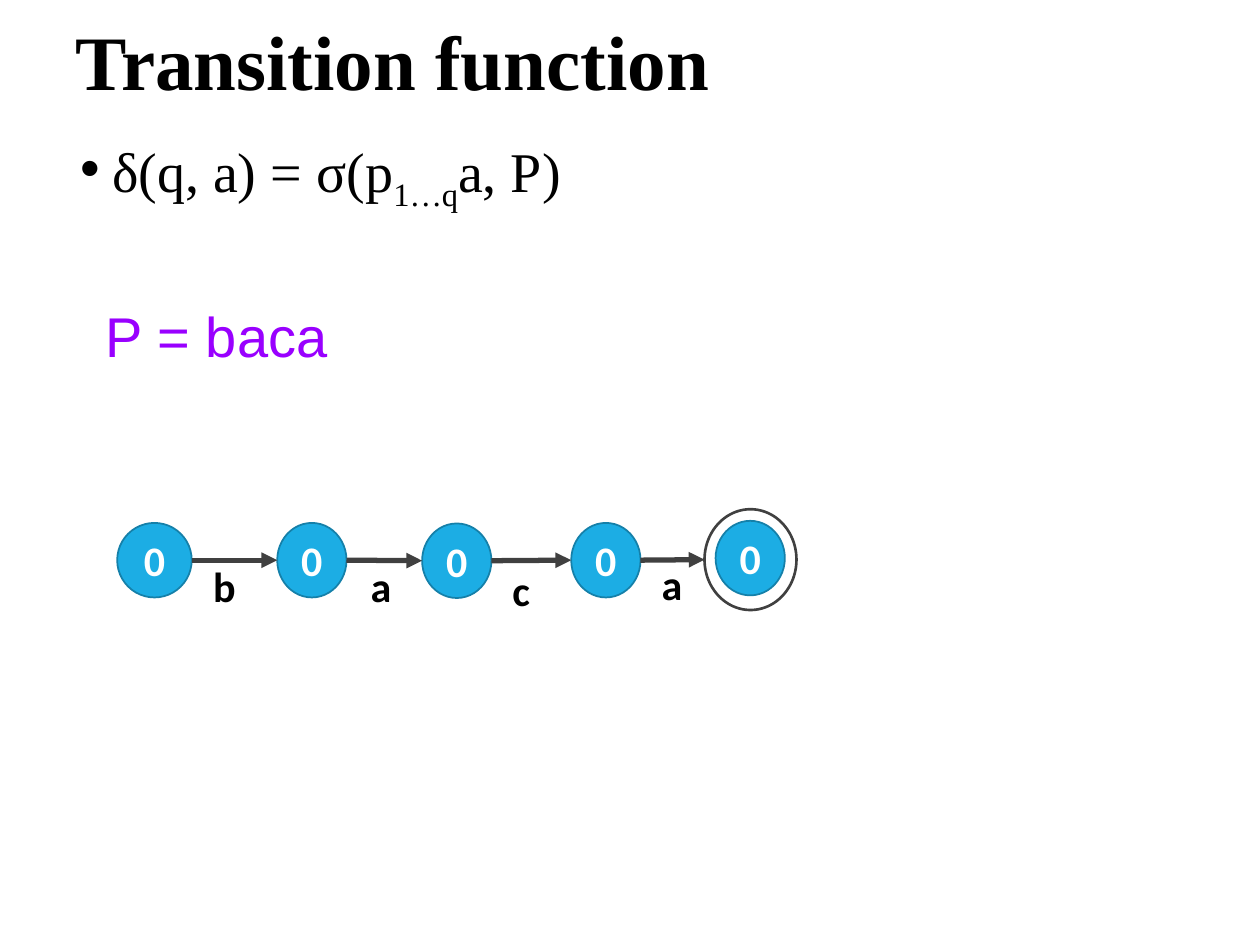
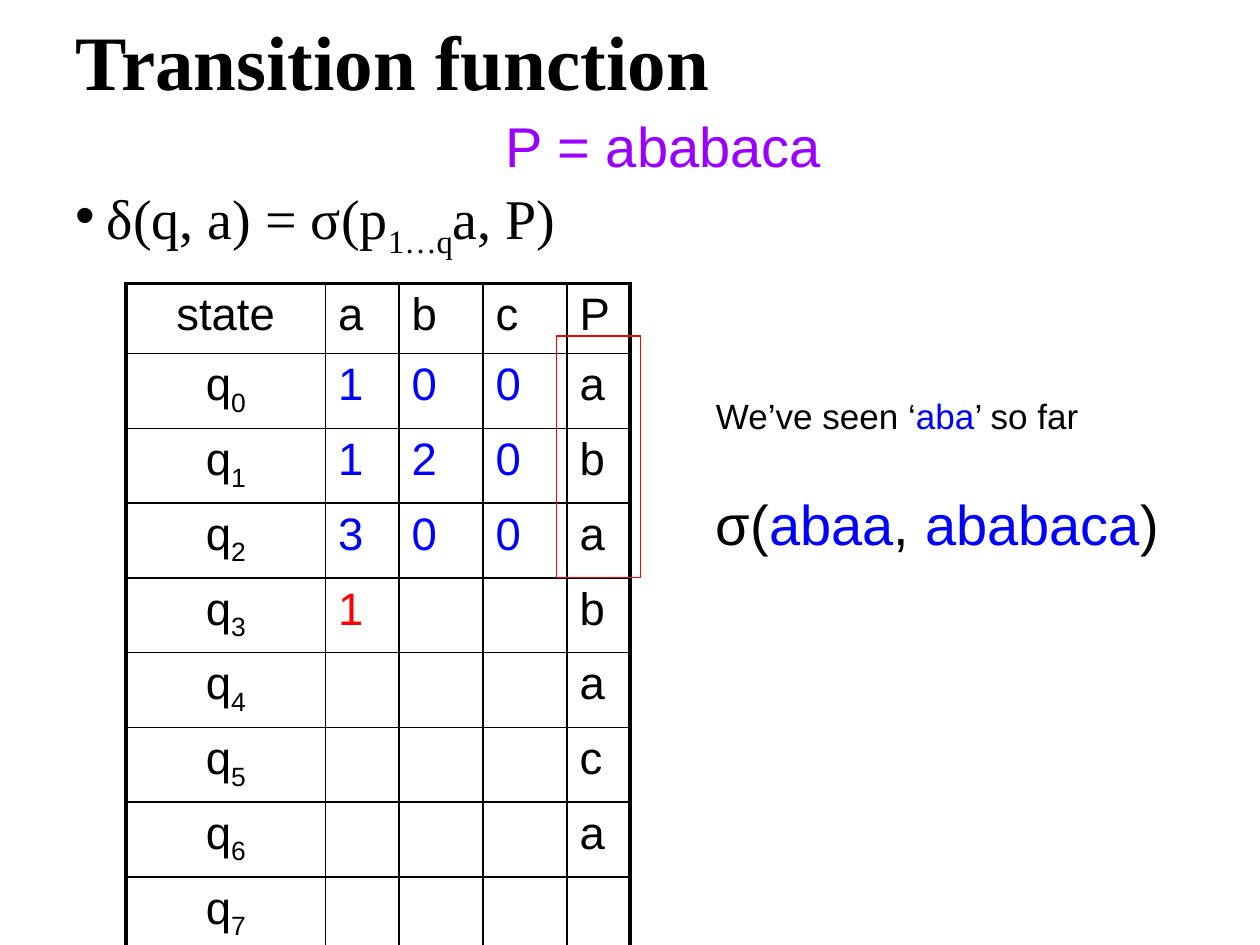
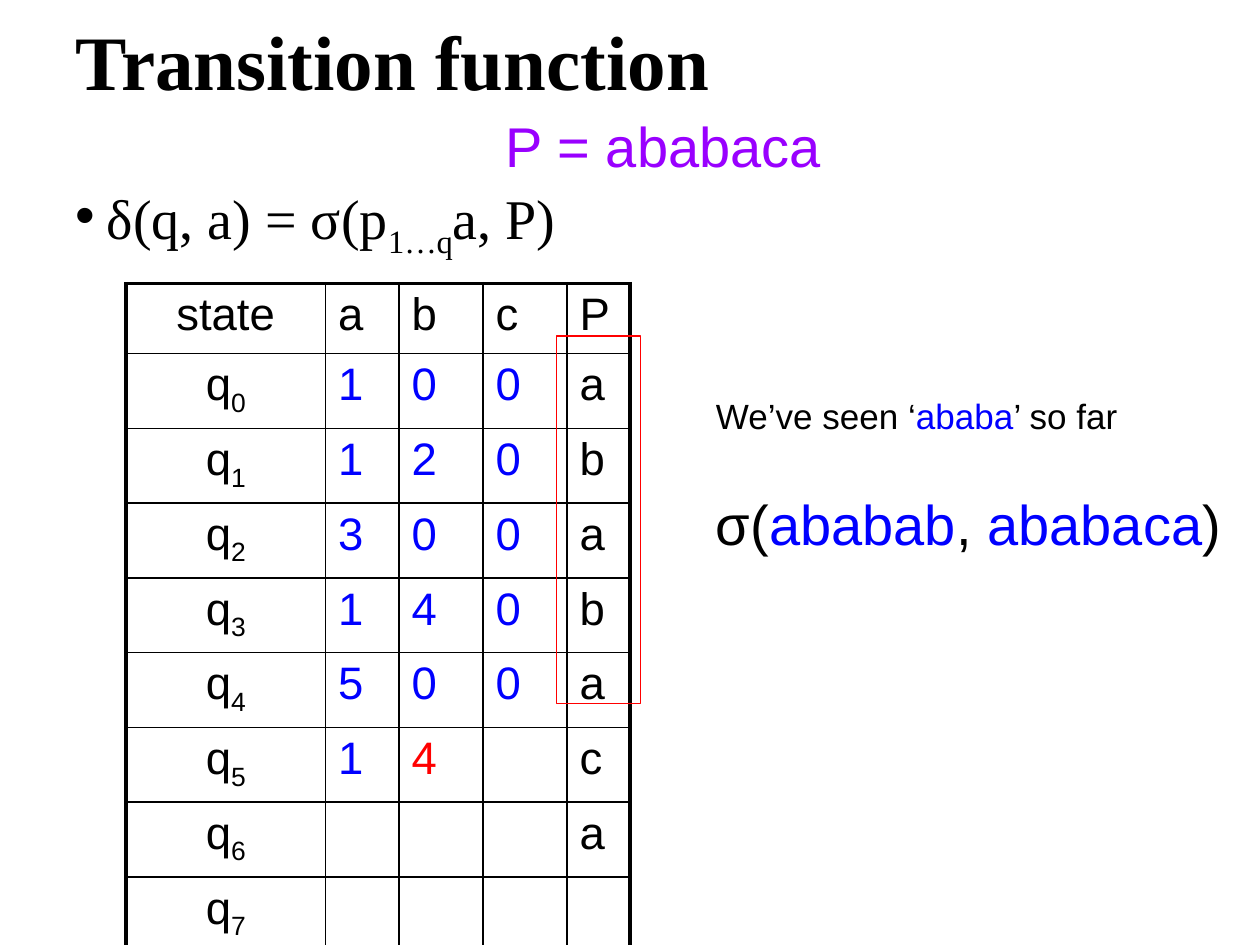
"""Build three slides on the transition function of a string-matching automaton."""
from dataclasses import dataclass
from typing import NamedTuple, Optional

from lxml import etree
from pptx import Presentation
from pptx import util as u
from pptx.dml.color import RGBColor
from pptx.enum import shapes, text
from pptx.oxml import ns

BLACK = RGBColor(0x00, 0x00, 0x00)
WHITE = RGBColor(0xFF, 0xFF, 0xFF)
PURPLE = RGBColor(0x99, 0x00, 0xFF)
BLUE = RGBColor(0x00, 0x00, 0xFF)
RED = RGBColor(0xFF, 0x00, 0x00)
SKY = RGBColor(0x1C, 0xAD, 0xE4)
TEAL = RGBColor(0x15, 0x80, 0xA9)
GREY = RGBColor(0x40, 0x40, 0x40)

SERIF, SANS, ROUND = "Times New Roman", "Arial", "Calibri"
COLS, ROWS = 120, 90
WIDTH, HEIGHT = u.Inches(10), u.Inches(7.5)
ALPHABET = "abc"
PATTERN = "ababaca"
TABLE_COLS = (19, 7, 8, 8, 6)
TABLE_HEIGHT = 60
THICK, THIN = 2.25, 1


class Run(NamedTuple):
    text: str
    color: RGBColor = BLACK
    sub: bool = False


class Box(NamedTuple):
    col: float
    row: float
    cols: float
    rows: float

    def emu(self) -> tuple:
        return x(self.col), y(self.row), x(self.cols), y(self.rows)


@dataclass
class State:
    box: Box
    label: str = ""
    label_at: tuple = (0, 0)


STATES = (
    State(Box(11.16, 49.8, 7.1, 7.1), "b", (20.3, 53.4)),
    State(Box(26.4, 49.8, 6.6, 7.1), "a", (35.3, 53.4)),
    State(Box(40.2, 49.85, 6.6, 7.1), "c", (48.8, 53.8)),
    State(Box(54.4, 49.8, 6.6, 7.1), "a", (63, 53.2)),
    State(Box(68.15, 49.6, 6.6, 7.1)),
)
RING = Box(67.1, 48.5, 8.76, 9.6)


def x(cols: float) -> int:
    return round(WIDTH * cols / COLS)


def y(rows: float) -> int:
    return round(HEIGHT * rows / ROWS)


def sigma(seen: str, pattern: str) -> int:
    """Length of the longest prefix of pattern that ends seen."""
    return max(k for k in range(len(pattern) + 1) if seen.endswith(pattern[:k]))


def write(tf, *runs: Run, size: float, font: str = SANS, bold: bool = False,
          align=text.PP_ALIGN.LEFT, spacing: Optional[float] = None,
          bullet: bool = False) -> None:
    p = tf.paragraphs[0]
    p.alignment = align
    if spacing:
        p.line_spacing = spacing
    if bullet:
        pPr = p._p.get_or_add_pPr()
        pPr.set("marL", str(u.Inches(0.25)))
        pPr.set("indent", str(-u.Inches(0.25)))
        etree.SubElement(pPr, ns.qn("a:buFont"), typeface=SANS)
        etree.SubElement(pPr, ns.qn("a:buChar"), char="•")
    for run in runs:
        r = p.add_run()
        r.text = run.text
        r.font.size, r.font.name, r.font.bold = u.Pt(size), font, bold
        r.font.color.rgb = run.color
        if run.sub:
            r._r.get_or_add_rPr().set("baseline", "-25000")


def add_text(s, box: Box, *runs: Run, middle: bool = False, tight: bool = False,
             **style) -> None:
    tf = s.shapes.add_textbox(*box.emu()).text_frame
    tf.word_wrap = not tight
    if tight:
        tf.margin_left = tf.margin_right = tf.margin_top = tf.margin_bottom = 0
    if middle:
        tf.vertical_anchor = text.MSO_ANCHOR.MIDDLE
    write(tf, *runs, **style)


def add_outline(s, kind, box: Box, line: RGBColor, weight: float,
                fill: Optional[RGBColor] = None):
    sp = s.shapes.add_shape(kind, *box.emu())
    sp.shadow.inherit = False
    if fill is None:
        sp.fill.background()
    else:
        sp.fill.solid()
        sp.fill.fore_color.rgb = fill
    sp.line.color.rgb, sp.line.width = line, u.Pt(weight)
    return sp


def add_state(s, state: State):
    sp = add_outline(s, shapes.MSO_SHAPE.OVAL, state.box, TEAL, 1, SKY)
    tf = sp.text_frame
    tf.margin_left = tf.margin_right = 0
    tf.vertical_anchor = text.MSO_ANCHOR.MIDDLE
    write(tf, Run("0", WHITE), size=24, font=ROUND, bold=True,
          align=text.PP_ALIGN.CENTER)
    return sp


def add_arrow(s, start: Box, end: Box) -> None:
    c = s.shapes.add_connector(
        shapes.MSO_CONNECTOR.STRAIGHT,
        x(start.col + start.cols), y(start.row + start.rows / 2),
        x(end.col), y(end.row + end.rows / 2))
    c.line.color.rgb, c.line.width = GREY, u.Pt(3)
    etree.SubElement(c.line._get_or_add_ln(), ns.qn("a:tailEnd"), type="triangle")
    etree.SubElement(c._element.spPr, ns.qn("a:effectLst"))


def set_borders(cell, **weights: float) -> None:
    tcPr = cell._tc.get_or_add_tcPr()
    for side, weight in weights.items():
        ln = etree.SubElement(tcPr, ns.qn(f"a:ln{side}"), w=str(u.Pt(weight)))
        fill = etree.SubElement(ln, ns.qn("a:solidFill"))
        etree.SubElement(fill, ns.qn("a:srgbClr"), val=str(BLACK))
    cell.fill.background()


def state_row(q: int, filled: int) -> list:
    """Runs of the table row for state q, with the newest entry in red."""
    row = [(Run("q"), Run(str(q), sub=True))]
    for i, symbol in enumerate(ALPHABET, start=q * len(ALPHABET)):
        value = str(sigma(PATTERN[:q] + symbol, PATTERN))
        color = RED if i == filled - 1 else BLUE
        row.append((Run(value, color),) if i < filled else ())
    return row + [tuple(Run(letter) for letter in PATTERN[q:q + 1])]


def add_transitions(s, filled: int) -> None:
    rows = [[(Run(head),) for head in ("state", *ALPHABET, "P")]]
    rows += [state_row(q, filled) for q in range(len(PATTERN) + 1)]
    box = Box(12, 27, sum(TABLE_COLS), TABLE_HEIGHT)
    table = s.shapes.add_table(len(rows), len(TABLE_COLS), *box.emu()).table
    table.first_row = table.horz_banding = False
    for column, cols in zip(table.columns, TABLE_COLS):
        column.width = x(cols)
    bottom, right = len(rows) - 1, len(TABLE_COLS) - 1
    for i, row in enumerate(rows):
        table.rows[i].height = y(TABLE_HEIGHT / len(rows))
        for j, runs in enumerate(row):
            cell = table.cell(i, j)
            align = text.PP_ALIGN.LEFT if j else text.PP_ALIGN.CENTER
            write(cell.text_frame, *runs, size=26, align=align)
            set_borders(cell, L=THIN if j else THICK,
                        R=THICK if j == right else THIN,
                        T=THIN if i else THICK,
                        B=THICK if i == bottom else THIN)


def add_slide(prs, pattern: str, formula_at: tuple, pattern_at: tuple):
    s = prs.slides.add_slide(prs.slide_layouts[6])
    add_text(s, Box(6, 1.5, 99, 9.4), Run("Transition function"), middle=True,
             size=44, font=SERIF, bold=True, spacing=0.9)
    add_text(s, Box(*formula_at, 108, 9.5), Run("δ(q, a) = σ(p"),
             Run("1…q", sub=True), Run("a, P)"),
             size=32, font=SERIF, spacing=0.9, bullet=True)
    add_text(s, Box(*pattern_at, 37, 7.6), Run(f"P = {pattern}", PURPLE), size=32)
    return s


def add_automaton_slide(prs) -> None:
    s = add_slide(prs, "baca", (6.5, 12.5), (8.9, 28.1))
    ovals = [add_state(s, state) for state in STATES]
    ends = [state.box for state in STATES[1:-1]] + [RING]
    for state, end in zip(STATES, ends):
        add_arrow(s, state.box, end)
        add_text(s, Box(*state.label_at, 2.1, 4.8), Run(state.label), tight=True,
                 size=24, font=ROUND, bold=True)
    ring = add_outline(s, shapes.MSO_SHAPE.OVAL, RING, GREY, 1.5)
    s.shapes.add_group_shape([ovals[-1], ring])


def add_table_slide(prs, filled: int) -> None:
    q, symbol = divmod(filled - 1, len(ALPHABET))
    seen = PATTERN[:q]
    s = add_slide(prs, PATTERN, (6, 17), (47, 10))
    add_transitions(s, filled)
    add_outline(s, shapes.MSO_SHAPE.RECTANGLE, Box(53, 32, 8, 5 + 6 * q), RED, 0.75)
    add_text(s, Box(67, 37, 43, 5.2), Run("We’ve seen ‘"), Run(seen, BLUE),
             Run("’ so far"), size=20)
    add_text(s, Box(67, 46, 53, 7.6), Run("σ("), Run(seen + ALPHABET[symbol], BLUE),
             Run(", "), Run(PATTERN, BLUE), Run(")"), size=32)


def main() -> None:
    prs = Presentation()
    prs.slide_width, prs.slide_height = WIDTH, HEIGHT
    add_automaton_slide(prs)
    for filled in (10, 17):
        add_table_slide(prs, filled)
    prs.save("out.pptx")


if __name__ == "__main__":
    main()
